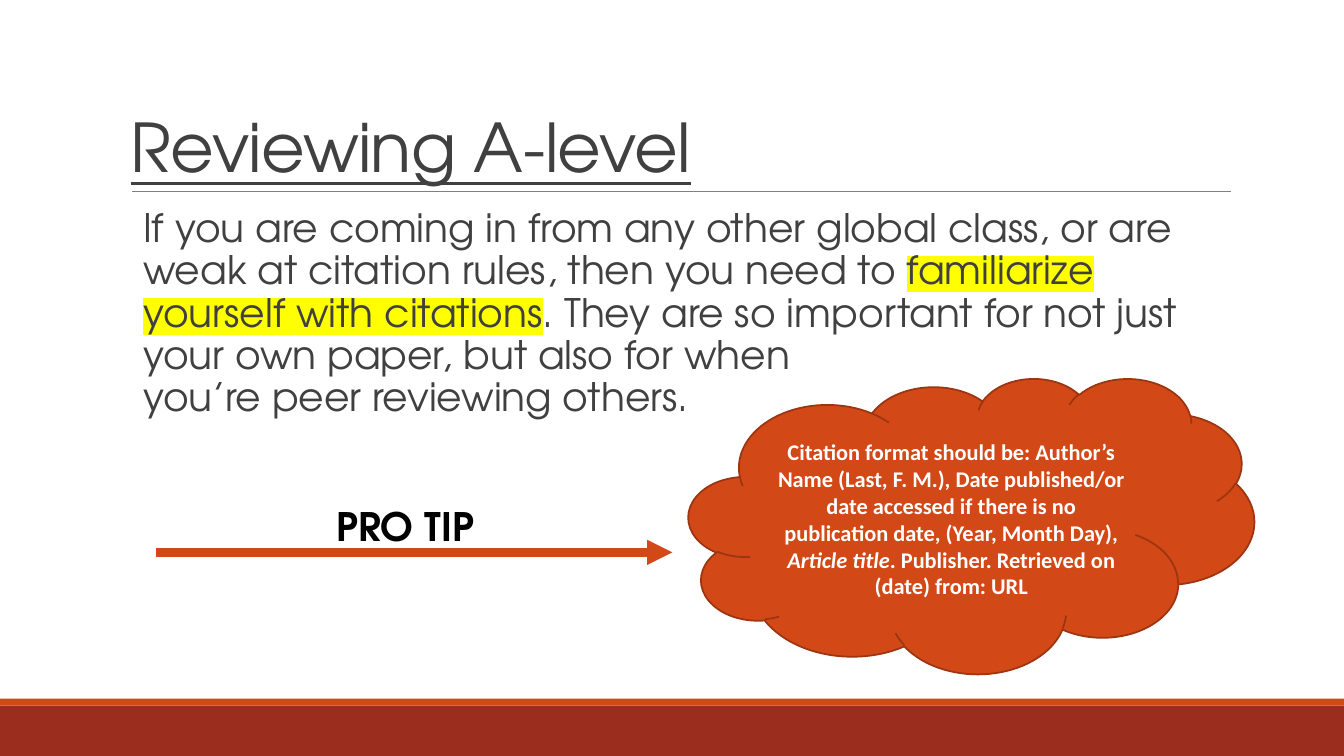
"""Builds the slide on reviewing citations."""
from dataclasses import dataclass

import pptx
import pptx.chart.data
import pptx.dml.color
import pptx.enum.shapes
import pptx.enum.text
import pptx.oxml
import pptx.oxml.ns
import pptx.util

Pt = pptx.util.Pt
Shape = pptx.enum.shapes.MSO_SHAPE
Align = pptx.enum.text.PP_ALIGN
Anchor = pptx.enum.text.MSO_ANCHOR
WIDE = pptx.util.Inches(13.33)
HIGH = pptx.util.Inches(7.5)


@dataclass(frozen=True)
class Theme:
    """Holds colours, fonts and type sizes."""
    rust: str = "9B2D1F"
    flame: str = "D34817"
    edge: str = "9C3511"
    rule: str = "808080"
    ink: str = "404040"
    black: str = "000000"
    white: str = "FFFFFF"
    mark: str = "FFFF00"
    head: str = "TeX Gyre Adventor"
    note: str = "Calibri"
    title: int = 48
    body: int = 28
    small: int = 16


LOOK = Theme()


def rgb(code):
    """Turns a hex code into a colour."""
    return pptx.dml.color.RGBColor.from_string(code)


def across(share):
    """Gives a percentage of the slide's width."""
    return round(WIDE * share / 100)


def down(share):
    """Gives a percentage of the slide's height."""
    return round(HIGH * share / 100)


def place(left, top, width, height):
    """Turns percentages into a box on the slide."""
    return across(left), down(top), across(width), down(height)


def node(tag, attrs="", inner=""):
    """Makes a DrawingML element."""
    space = pptx.oxml.ns.nsdecls("a")
    return pptx.oxml.parse_xml(f"<a:{tag} {space} {attrs}>{inner}</a:{tag}>")


def style(run, size, color, face=LOOK.head, bold=False):
    """Sets the type of one run."""
    font = run.font
    font.size, font.name, font.bold = Pt(size), face, bold
    font.color.rgb = rgb(color)


def shade(run, color):
    """Puts a marker colour behind a run."""
    fill = run.font.fill._xPr.find(pptx.oxml.ns.qn("a:solidFill"))
    fill.addnext(node("highlight", "", f'<a:srgbClr val="{color}"/>'))


def fill_in(para, parts, **kind):
    """Adds runs of one type to a paragraph and returns them."""
    runs = []
    for part in parts:
        run = para.add_run()
        run.text = part
        style(run, **kind)
        runs.append(run)
    return runs


def solid(slide, form, box, color, edge=None):
    """Draws a filled shape."""
    shape = slide.shapes.add_shape(form, *place(*box))
    shape.shadow.inherit = False
    shape.fill.solid()
    shape.fill.fore_color.rgb = rgb(color)
    if edge:
        shape.line.color.rgb = rgb(edge)
        shape.line.width = Pt(1.25)
    else:
        shape.line.fill.background()
    return shape


def stroke(slide, left, right, top, color, width, arrow=False):
    """Draws a level line, with an arrowhead if asked."""
    line = slide.shapes.add_connector(
        pptx.enum.shapes.MSO_CONNECTOR.STRAIGHT,
        across(left), down(top), across(right), down(top))
    line.line.color.rgb = rgb(color)
    line.line.width = Pt(width)
    if arrow:
        line.line._get_or_add_ln().append(node("tailEnd", 'type="triangle"'))
    line._element.spPr.append(node("effectLst"))


def text_box(slide, box, anchor=Anchor.TOP):
    """Adds a wrapping text box and returns its frame."""
    frame = slide.shapes.add_textbox(*place(*box)).text_frame
    frame.word_wrap = True
    frame.vertical_anchor = anchor
    return frame


def title(slide):
    """Adds the underlined heading."""
    frame = text_box(slide, (9, 4.13, 82.5, 21.2), Anchor.BOTTOM)
    frame.text = "Reviewing A-level"
    para = frame.paragraphs[0]
    para.line_spacing = 0.85
    run = para.runs[0]
    style(run, LOOK.title, LOOK.ink)
    run.font.underline = True
    run.font._element.set("spc", "-50")


def body(slide):
    """Adds the advice with its marked phrase."""
    frame = text_box(slide, (9, 26.93, 82.5, 58.67))
    frame.margin_left = frame.margin_right = 0
    para = frame.paragraphs[0]
    props = para._p.get_or_add_pPr()
    props.set("marL", str(pptx.util.Inches(0.22)))
    props.set("indent", "0")
    para.line_spacing = 0.9
    para.space_after = Pt(4)
    kind = {"size": LOOK.body, "color": LOOK.ink}
    runs = fill_in(para, (
        "If you are coming in from any other global class, or are weak at "
        "citation rules, then you need to ",
        "familiarize yourself with citations",
        ". They are so important for not just your own paper, but also "
        "for when "), **kind)
    shade(runs[1], LOOK.mark)
    para.add_line_break()
    fill_in(para, ("you’re peer reviewing others.",), **kind)


def cloud(slide):
    """Adds the cloud with the citation format."""
    shape = solid(slide, Shape.CLOUD, (51.24, 50, 42.08, 39.07),
                  LOOK.flame, LOOK.edge)
    frame = shape.text_frame
    frame.word_wrap = True
    frame.vertical_anchor = Anchor.MIDDLE
    para = frame.paragraphs[0]
    para.alignment = Align.CENTER
    runs = fill_in(para, (
        "Citation format should be: Author’s Name (Last, F. M.), Date "
        "published/or date accessed if there is no publication date, "
        "(Year, Month Day), ",
        "Article title",
        ". Publisher. Retrieved on (date) from: URL"),
        size=LOOK.small, color=LOOK.white, face=LOOK.note, bold=True)
    runs[1].font.italic = True


def tip(slide):
    """Adds the arrow and its label."""
    stroke(slide, 11.63, 50.03, 73.07, LOOK.flame, 6, arrow=True)
    frame = text_box(slide, (16.35, 65.73, 27.6, 7.6))
    frame.auto_size = pptx.enum.text.MSO_AUTO_SIZE.SHAPE_TO_FIT_TEXT
    frame.text = "PRO TIP"
    para = frame.paragraphs[0]
    para.alignment = Align.CENTER
    style(para.runs[0], LOOK.body, LOOK.black, bold=True)


def main():
    """Builds and saves the slide."""
    deck = pptx.Presentation()
    deck.slide_width, deck.slide_height = WIDE, HIGH
    slide = deck.slides.add_slide(deck.slide_layouts[6])
    solid(slide, Shape.RECTANGLE, (0, 93.33, 100, 6.67), LOOK.rust)
    solid(slide, Shape.RECTANGLE, (0, 92.4, 100, 0.93), LOOK.flame)
    stroke(slide, 9.83, 91.6, 25.33, LOOK.rule, 0.5)
    title(slide)
    body(slide)
    cloud(slide)
    tip(slide)
    deck.save("out.pptx")


if __name__ == "__main__":
    main()
